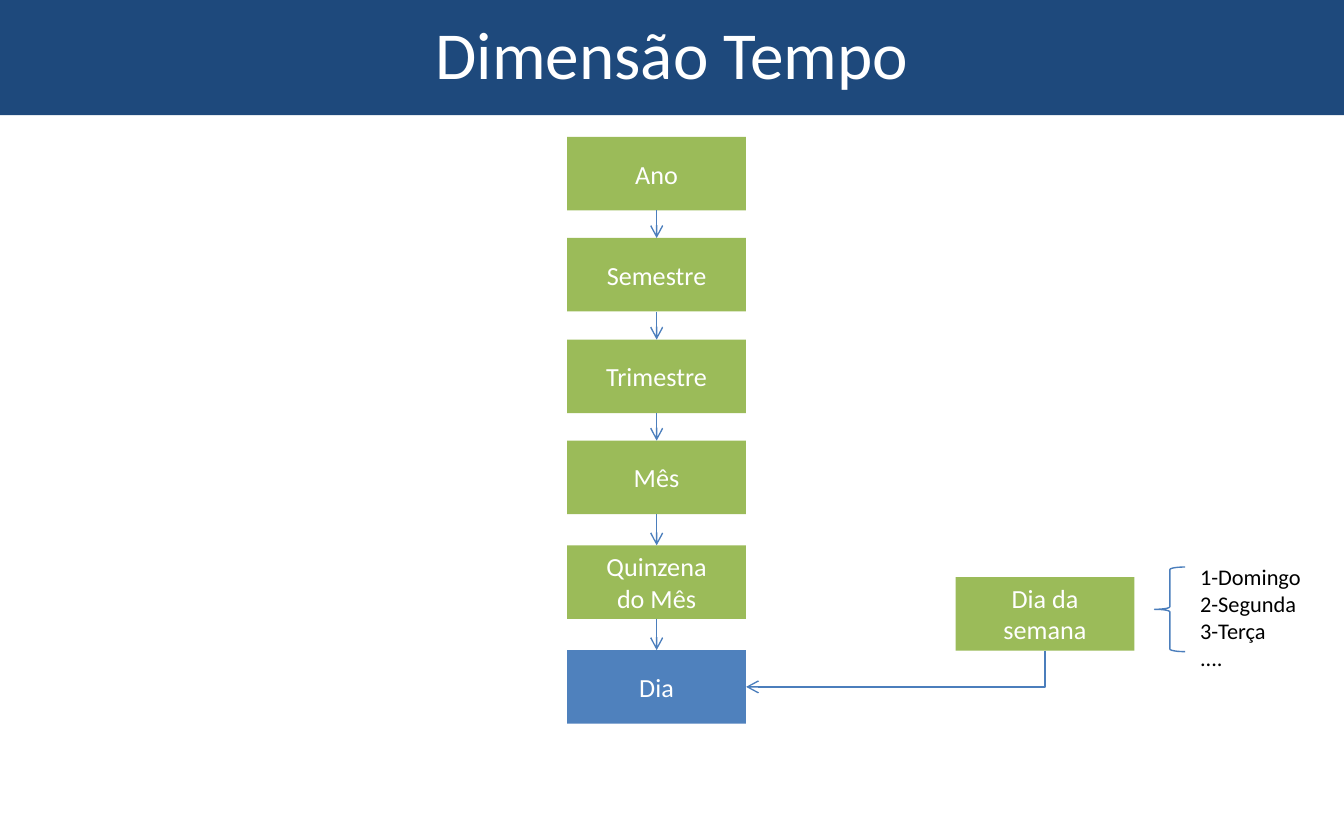
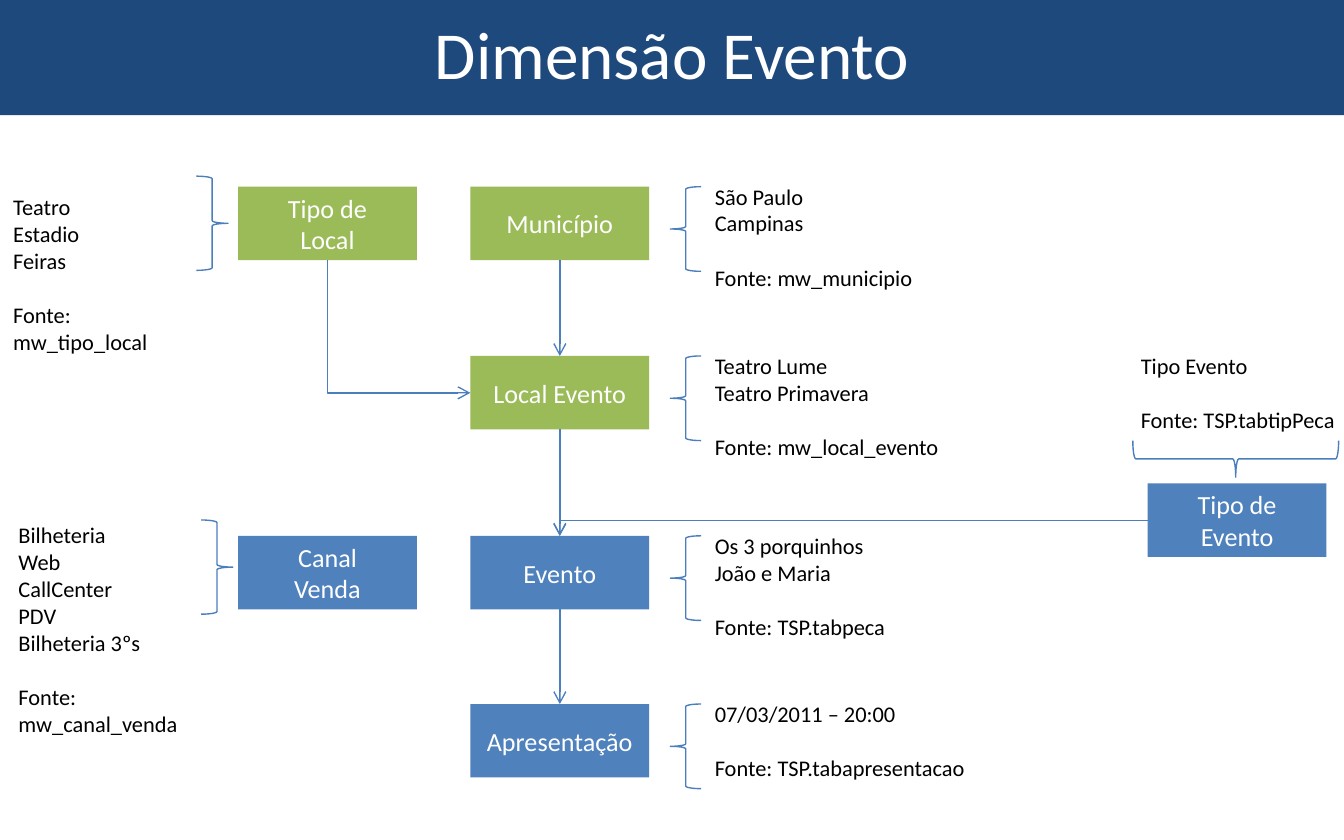
import pptx
import pptx.util
import pptx.dml.color
import pptx.enum.shapes
import pptx.enum.text
import pptx.oxml.ns
import lxml.etree
from dataclasses import dataclass

Cm, Pt = pptx.util.Cm, pptx.util.Pt
Rgb = pptx.dml.color.RGBColor.from_string
Kind = pptx.enum.shapes.MSO_SHAPE
Wire = pptx.enum.shapes.MSO_CONNECTOR
Align = pptx.enum.text.PP_ALIGN
Anchor = pptx.enum.text.MSO_ANCHOR
Fit = pptx.enum.text.MSO_AUTO_SIZE
qn = pptx.oxml.ns.qn

TOP, LEFT, BOTTOM, RIGHT = range(4)


@dataclass(frozen=True)
class Theme:
    font: str = "Calibri"
    navy: str = "1E497C"
    green: str = "9BBB59"
    blue: str = "4F81BD"
    line: str = "4B7EBC"
    white: str = "FFFFFF"
    black: str = "000000"
    title: float = 36
    label: float = 14
    note: float = 12
    gap: float = 14.6
    width: float = 0.75
    box: tuple = (3.38, 1.39)
    brace: tuple = (0.58, 1.6)


class Deck:
    def __init__(self, theme):
        self.theme = theme
        self.prs = pptx.Presentation()
        self.prs.slide_width, self.prs.slide_height = Cm(25.4), Cm(15.88)
        self.layout = self.prs.slide_layouts[5]
        head = self.layout.placeholders[0]
        head.left, head.top = Cm(1.27), Cm(0)
        head.width, head.height = Cm(22.86), Cm(1.98)
        self.slide = None

    def style(self, para, size, color):
        para.font.name = self.theme.font
        para.font.size = Pt(size)
        para.font.color.rgb = Rgb(color)

    def shape(self, kind, x, y, w, h):
        item = self.slide.shapes.add_shape(kind, Cm(x), Cm(y), Cm(w), Cm(h))
        item.shadow.inherit = False
        return item

    def rect(self, x, y, w, h, color):
        item = self.shape(Kind.RECTANGLE, x, y, w, h)
        item.fill.solid()
        item.fill.fore_color.rgb = Rgb(color)
        item.line.fill.background()
        return item

    def band(self):
        item = self.rect(0, 0, 25.4, 2.18, self.theme.navy)
        self.prs.slide_master.shapes.element.insert(2, item.element)

    def page(self, title):
        first = self.slide is None
        self.slide = self.prs.slides.add_slide(self.layout)
        if first:
            self.band()
        frame = self.slide.shapes.title.text_frame
        frame.text = title
        frame.vertical_anchor = Anchor.MIDDLE
        para = frame.paragraphs[0]
        para.alignment = Align.CENTER
        self.style(para, self.theme.title, self.theme.white)

    def box(self, text, x, y, color):
        item = self.rect(x, y, *self.theme.box, color)
        frame = item.text_frame
        frame.text = text
        frame.vertical_anchor = Anchor.MIDDLE
        for para in frame.paragraphs:
            para.alignment = Align.CENTER
            self.style(para, self.theme.label, self.theme.white)
        return item

    def brace(self, x, y, size=None, turn=0):
        item = self.shape(Kind.LEFT_BRACE, x, y, *(size or self.theme.brace))
        item.rotation = turn
        item.fill.background()
        item.line.color.rgb = Rgb(self.theme.line)
        item.line.width = Pt(self.theme.width)

    def note(self, text, x, y, w, source=None):
        lines = text.split("\n") + ([f"Fonte: {source}"] if source else [])
        high = 0.51 * (len(lines) + bool(source)) + 0.26
        item = self.slide.shapes.add_textbox(Cm(x), Cm(y), Cm(w), Cm(high))
        frame = item.text_frame
        frame.word_wrap = True
        frame.text = "\n".join(lines)
        frame.auto_size = Fit.SHAPE_TO_FIT_TEXT
        for para in frame.paragraphs:
            self.style(para, self.theme.note, self.theme.black)
        if source:
            frame.paragraphs[-1].space_before = Pt(self.theme.gap)

    def arrow(self, start, end, out=BOTTOM, into=TOP):
        item = self.slide.shapes.add_connector(Wire.STRAIGHT, 0, 0, 0, 0)
        item.begin_connect(start, out)
        item.end_connect(end, into)
        item.line.color.rgb = Rgb(self.theme.line)
        item.line.width = Pt(self.theme.width)
        props = item.element.spPr
        line = props.find(qn("a:ln"))
        lxml.etree.SubElement(line, qn("a:tailEnd"), type="arrow")
        lxml.etree.SubElement(props, qn("a:effectLst"))
        return item

    def bend(self, start, end, out, into):
        item = self.arrow(start, end, out, into)
        props = item.element.spPr
        props.find(qn("a:prstGeom")).set("prst", "bentConnector2")
        if out != BOTTOM:
            return
        right = item.end_x > item.begin_x
        midx = (item.begin_x + item.end_x) // 2
        midy = (item.begin_y + item.end_y) // 2
        wide, high = item.height, item.width
        item.left, item.top = midx - wide // 2, midy - high // 2
        item.width, item.height = wide, high
        frame = props.find(qn("a:xfrm"))
        frame.attrib.pop("flipH", None)
        frame.set("rot", str(90 * 60000))
        if right:
            frame.set("flipV", "1")

    def chain(self, boxes):
        for start, end in zip(boxes, boxes[1:]):
            self.arrow(start, end)


def time(deck):
    look = deck.theme
    deck.page("Dimensão Tempo")
    steps = [
        ("Ano", 2.59), ("Semestre", 4.5), ("Trimestre", 6.42),
        ("Mês", 8.33), ("Quinzena\ndo Mês", 10.31),
    ]
    boxes = [deck.box(text, 10.72, y, look.green) for text, y in steps]
    day = deck.box("Dia", 10.72, 12.29, look.blue)
    week = deck.box("Dia da\nsemana", 18.06, 10.91, look.green)
    deck.chain(boxes + [day])
    deck.bend(week, day, BOTTOM, RIGHT)
    deck.brace(21.82, 10.72)
    deck.note("1-Domingo\n2-Segunda\n3-Terça\n....", 22.43, 10.52, 3.76)


def event(deck):
    look = deck.theme
    deck.page("Dimensão Evento")
    rows = [
        ("Município", 3.53, look.green, "São Paulo\nCampinas", "mw_municipio"),
        ("Local Evento", 6.73, look.green, "Teatro Lume\nTeatro Primavera",
         "mw_local_evento"),
        ("Evento", 10.13, look.blue, "Os 3 porquinhos\nJoão e Maria",
         "TSP.tabpeca"),
        ("Apresentação", 13.31, look.blue, "07/03/2011 – 20:00",
         "TSP.tabapresentacao"),
    ]
    spine = []
    for name, y, color, text, source in rows:
        spine.append(deck.box(name, 8.89, y, color))
        deck.brace(12.67, y)
        deck.note(text, 13.26, y - 0.2, 9.12, source)
    deck.chain(spine)

    place = deck.box("Tipo de\nLocal", 4.5, 3.53, look.green)
    deck.box("Canal\nVenda", 4.5, 10.13, look.blue)
    sides = [
        (3.71, 3.33, 0, 3.53, "Teatro\nEstadio\nFeiras", "mw_tipo_local"),
        (3.8, 9.83, 0.1, 9.73,
         "Bilheteria\nWeb\nCallCenter\nPDV\nBilheteria 3ºs", "mw_canal_venda"),
    ]
    for x, y, left, top, text, source in sides:
        deck.brace(x, y, (0.6, 1.78), 180)
        deck.note(text, left, top, 3.91, source)
    deck.bend(place, spine[1], BOTTOM, LEFT)

    genre = deck.box("Tipo de Evento", 21.69, 9.14, look.blue)
    deck.brace(23.01, 6.73, (0.69, 3.89), 270)
    deck.note("Tipo Evento", 21.31, 6.53, 4.39, "TSP.tabtipPeca")
    deck.bend(genre, spine[2], LEFT, TOP)


deck = Deck(Theme())
time(deck)
event(deck)
deck.prs.save("out.pptx")
